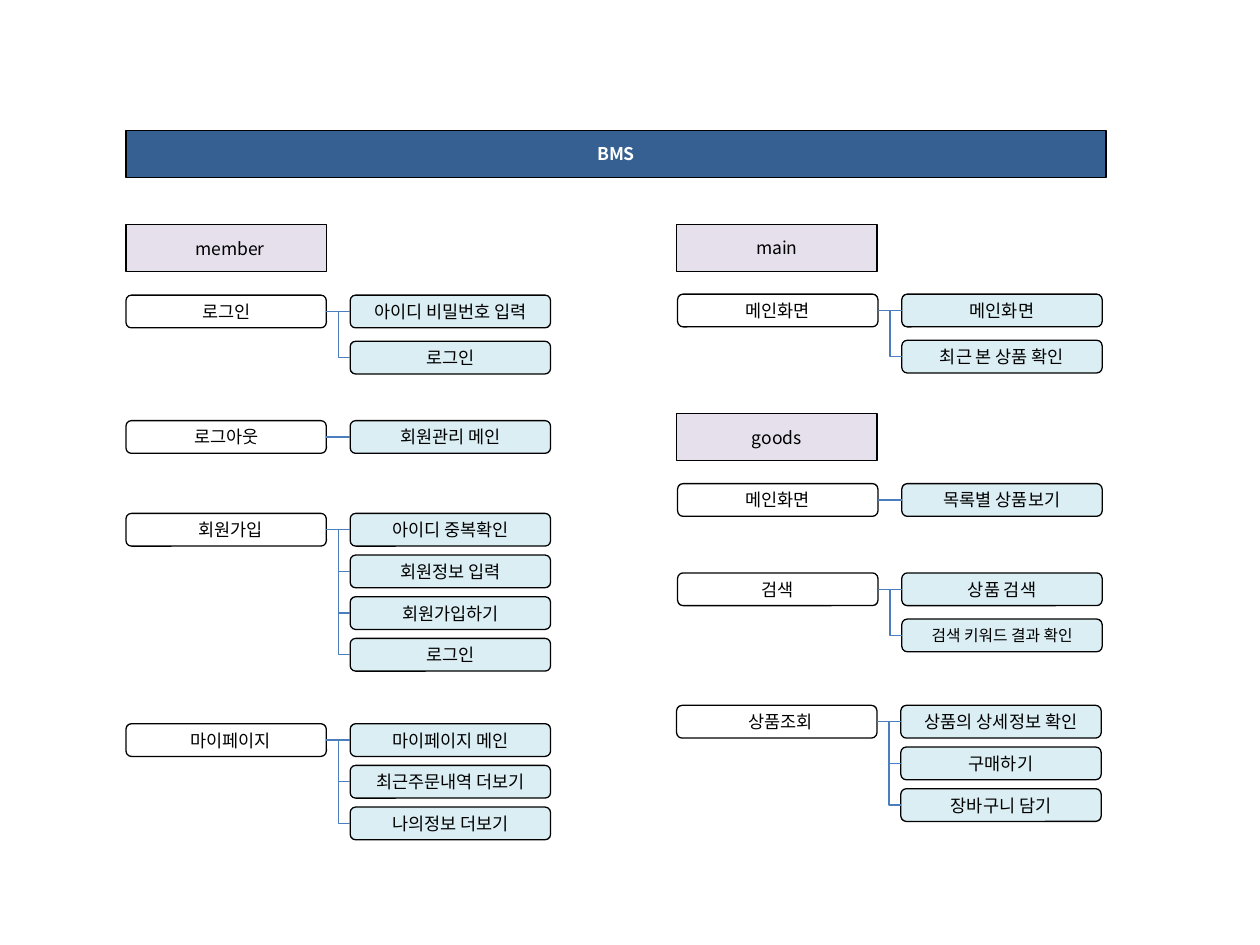
from pptx import Presentation
from pptx.util import Cm, Pt
from pptx.dml.color import RGBColor
from pptx.enum.shapes import MSO_SHAPE as Kind, MSO_CONNECTOR as Link
from pptx.enum.text import PP_ALIGN as Align, MSO_ANCHOR as Anchor
from pptx.oxml.ns import qn
from lxml.etree import SubElement

FONT = "Noto Sans CJK KR"
WIDE, HIGH, HEAD = 4.04, 0.66, 0.95
STEP = 4.52


def paint(target, color):
    target.rgb = RGBColor.from_string(color)


def box(kind, left, top, width, height, text, fill, color="000000", size=10, shift=0):
    shape = slide.shapes.add_shape(kind, Cm(left), Cm(top), Cm(width), Cm(height))
    shape.shadow.inherit = False
    shape.fill.solid()
    paint(shape.fill.fore_color, fill)
    paint(shape.line.color, "000000")
    shape.line.width = Pt(0.75)
    frame = shape.text_frame
    frame.word_wrap = True
    frame.vertical_anchor = Anchor.MIDDLE
    frame.margin_left = Cm(0.25 + shift)
    frame.margin_top = frame.margin_bottom = 0
    frame.text = text
    para = frame.paragraphs[0]
    para.alignment = Align.CENTER
    para.font.size = Pt(size)
    para.font.name = FONT
    paint(para.font.color, color)
    return shape


deck = Presentation()
deck.slide_width, deck.slide_height = Cm(25.4), Cm(19.05)
slide = deck.slides.add_slide(deck.slide_layouts[6])

title = box(Kind.RECTANGLE, 2.54, 2.63, 19.76, HEAD, "BMS", "376092", "FFFFFF")
title.text_frame.paragraphs[0].font.bold = True

heads = [
    (2.54, 4.53, "member", 0.16),
    (13.64, 4.52, "main", 0),
    (13.64, 8.34, "goods", 0),
]
for left, top, text, shift in heads:
    box(Kind.RECTANGLE, left, top, WIDE, HEAD, text, "E6E0EC", shift=shift)

groups = [
    (2.54, 5.95, 0.93, 0, "로그인", ["아이디 비밀번호 입력", "로그인"]),
    (2.54, 8.48, 0.84, 0, "로그아웃", ["회원관리 메인"]),
    (2.54, 10.35, 0.84, 0.16, "회원가입",
     ["아이디 중복확인", "회원정보 입력", "회원가입하기", "로그인"]),
    (2.54, 14.59, 0.84, 0.16, "마이페이지",
     ["마이페이지 메인", "최근주문내역 더보기", "나의정보 더보기"]),
    (13.66, 5.93, 0.93, 0, "메인화면", ["메인화면", "최근 본 상품 확인"]),
    (13.66, 9.75, 0.84, 0, "메인화면", ["목록별 상품보기"]),
    (13.66, 11.55, 0.93, 0, "검색", ["상품 검색", "검색 키워드 결과 확인"]),
    (13.64, 14.22, 0.84, 0.16, "상품조회",
     ["상품의 상세정보 확인", "구매하기", "장바구니 담기"]),
]
for left, top, pitch, shift, name, tasks in groups:
    page = box(Kind.ROUNDED_RECTANGLE, left, top, WIDE, HIGH, name, "FFFFFF", shift=shift)
    for row, text in enumerate(tasks):
        size = 9 if text == "검색 키워드 결과 확인" else 10
        task = box(Kind.ROUNDED_RECTANGLE, left + STEP, top + row * pitch,
                   WIDE, HIGH, text, "DBEEF4", size=size)
        line = slide.shapes.add_connector(Link.ELBOW if row else Link.STRAIGHT, 0, 0, 0, 0)
        line.begin_connect(page, 3)
        line.end_connect(task, 1)
        paint(line.line.color, "4B7EBC")
        line.line.width = Pt(0.75)
        SubElement(line._element.spPr, qn("a:effectLst"))

deck.save("out.pptx")
